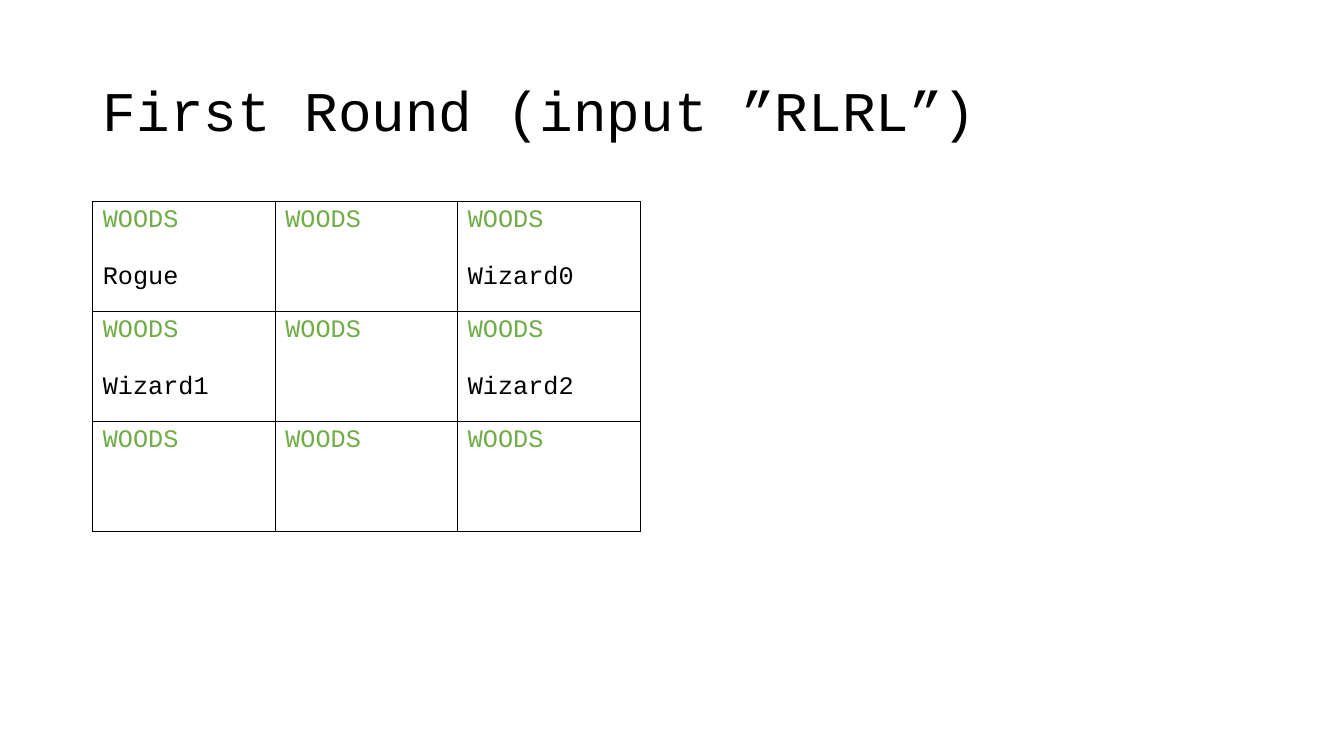
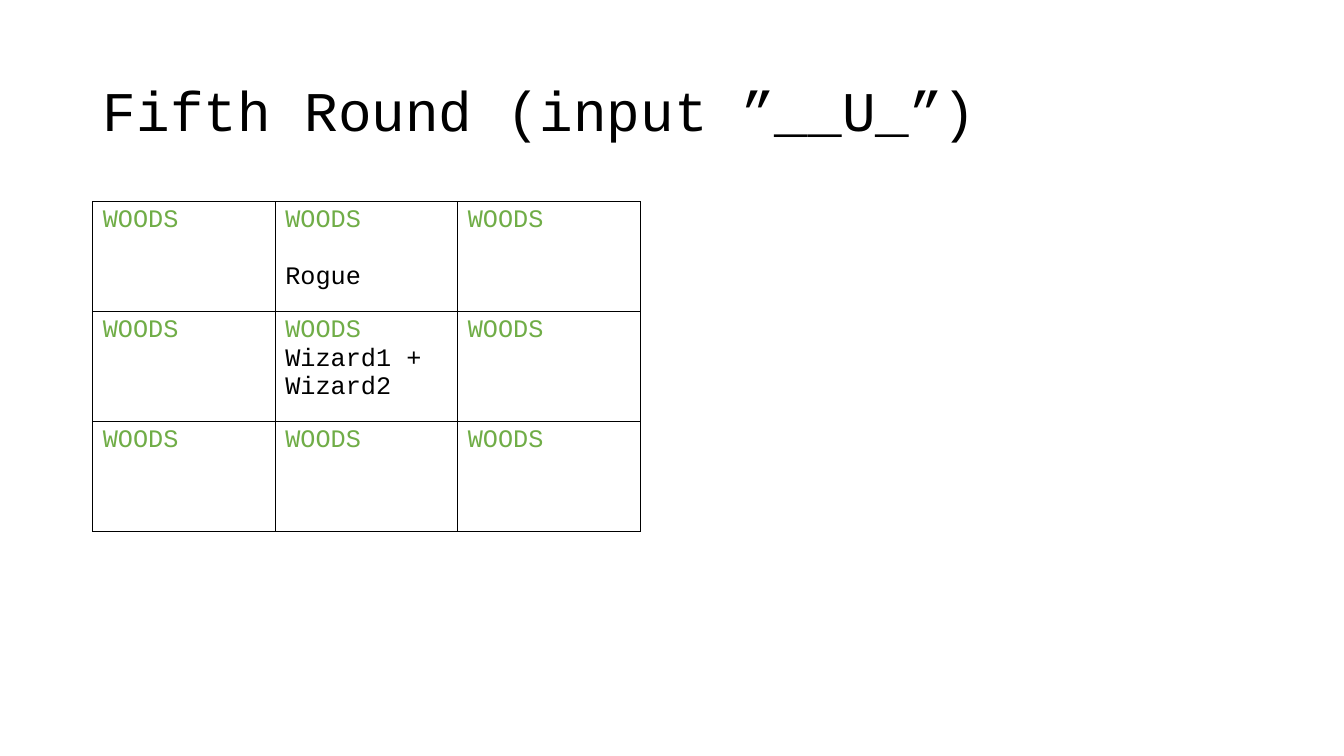
from dataclasses import dataclass

from lxml import etree
from pptx import Presentation
from pptx.dml.color import RGBColor
from pptx.enum import text as text_enum
from pptx.oxml import ns
from pptx.slide import Slide
from pptx.table import _Cell
from pptx.text.text import _Paragraph
from pptx.util import Inches, Pt

BLACK = RGBColor(0x00, 0x00, 0x00)
GREEN = RGBColor(0x70, 0xAD, 0x47)
FONT_NAME = "Courier New"
TITLE_SIZE = Pt(40)
CELL_SIZE = Pt(18)
LINE_GAP = Pt(20.4)
BORDER_WIDTH = Pt(1)
LEFT = Inches(0.92)
TERRAIN = "WOODS"
GRID_SIZE = 3
COLUMN_WIDTH = Inches(1.81)
ROW_HEIGHT = Inches(1.09)


@dataclass(frozen=True)
class Occupant:
    row: int
    column: int
    name: str
    gap: Pt = LINE_GAP


@dataclass(frozen=True)
class Round:
    title: str
    occupants: tuple[Occupant, ...]


ROUNDS = (
    Round(
        "First Round (input ”RLRL”)",
        (
            Occupant(0, 0, "Rogue"),
            Occupant(0, 2, "Wizard0"),
            Occupant(1, 0, "Wizard1"),
            Occupant(1, 2, "Wizard2"),
        ),
    ),
    Round(
        "Fifth Round (input ”__U_”)",
        (
            Occupant(0, 1, "Rogue"),
            Occupant(1, 1, "Wizard1 + Wizard2", Pt(0)),
        ),
    ),
)


def write(paragraph: _Paragraph, content: str, size: Pt, color: RGBColor) -> None:
    paragraph.text = content
    for run in paragraph.runs:
        run.font.name = FONT_NAME
        run.font.size = size
        run.font.color.rgb = color


def add_title(slide: Slide, content: str) -> None:
    title = slide.shapes.title
    title.left, title.top = LEFT, Inches(0.4)
    title.width, title.height = Inches(11.5), Inches(1.45)
    frame = title.text_frame
    frame.word_wrap = True
    frame.auto_size = text_enum.MSO_AUTO_SIZE.NONE
    frame.vertical_anchor = text_enum.MSO_ANCHOR.MIDDLE
    paragraph = frame.paragraphs[0]
    write(paragraph, content, TITLE_SIZE, BLACK)
    paragraph.alignment = text_enum.PP_ALIGN.LEFT
    paragraph.line_spacing = 0.9


def add_borders(cell: _Cell) -> None:
    properties = cell._tc.get_or_add_tcPr()
    for position, side in enumerate(("lnL", "lnR", "lnT", "lnB")):
        line = etree.Element(ns.qn(f"a:{side}"), w=str(BORDER_WIDTH))
        fill = etree.SubElement(line, ns.qn("a:solidFill"))
        etree.SubElement(fill, ns.qn("a:srgbClr"), val=str(BLACK))
        properties.insert(position, line)


def add_board(slide: Slide, occupants: tuple[Occupant, ...]) -> None:
    table = slide.shapes.add_table(
        GRID_SIZE, GRID_SIZE, LEFT, Inches(2),
        COLUMN_WIDTH * GRID_SIZE, ROW_HEIGHT * GRID_SIZE,
    ).table
    table.first_row = False
    table.horz_banding = False
    for column in table.columns:
        column.width = COLUMN_WIDTH
    for row in table.rows:
        row.height = ROW_HEIGHT
    for cell in table.iter_cells():
        cell.fill.background()
        add_borders(cell)
        write(cell.text_frame.paragraphs[0], TERRAIN, CELL_SIZE, GREEN)
    for occupant in occupants:
        cell = table.cell(occupant.row, occupant.column)
        paragraph = cell.text_frame.add_paragraph()
        write(paragraph, occupant.name, CELL_SIZE, BLACK)
        paragraph.space_before = occupant.gap


def main() -> None:
    presentation = Presentation()
    presentation.slide_width = Inches(13.33)
    presentation.slide_height = Inches(7.5)
    title_only = presentation.slide_layouts.get_by_name("Title Only")
    for game_round in ROUNDS:
        slide = presentation.slides.add_slide(title_only)
        add_title(slide, game_round.title)
        add_board(slide, game_round.occupants)
    presentation.save("out.pptx")


if __name__ == "__main__":
    main()
